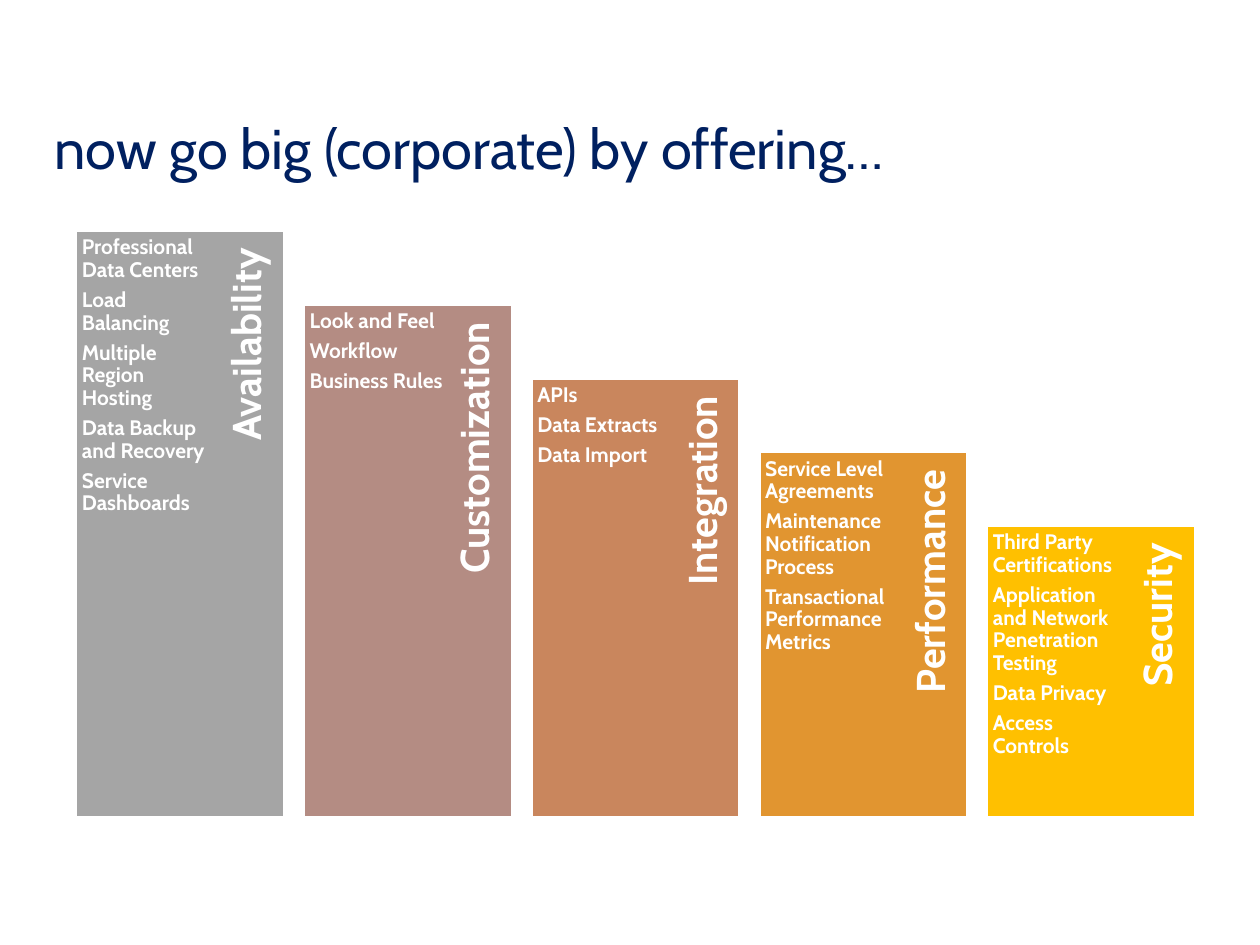
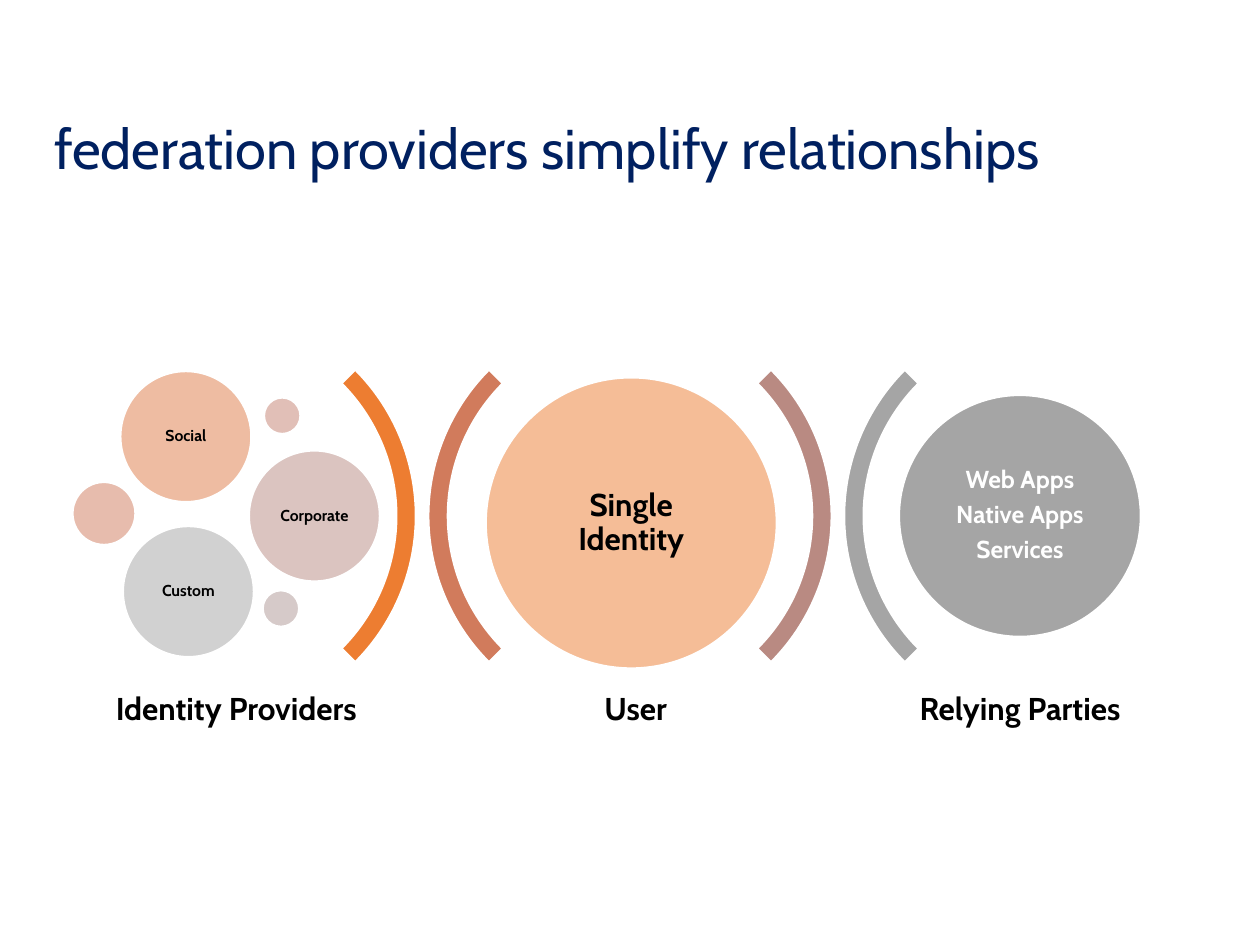
import pptx
import pptx.util
import pptx.dml.color
import pptx.enum.shapes
import pptx.enum.text
import pptx.oxml
import pptx.oxml.ns

Inches, Pt = pptx.util.Inches, pptx.util.Pt
SHAPE = pptx.enum.shapes.MSO_SHAPE
ALIGN = pptx.enum.text.PP_ALIGN
ANCHOR = pptx.enum.text.MSO_ANCHOR

FONT = "Cabin"
C = {
    "navy": "002060", "white": "FFFFFF", "black": "000000",
    "grey": "A5A5A5", "mauve": "B48C83", "copper": "C9865D",
    "amber": "E19530", "gold": "FFC000",
    "orange": "ED7D31", "rust": "DE7A47", "clay": "D17B5C",
    "rose": "C48170", "dusk": "B98A82", "ash": "AE9694",
}


def rgb(name):
    return pptx.dml.color.RGBColor.from_string(C[name])


def write(tf, lines, size=12, color="white", bold=True, align=ALIGN.LEFT,
          anchor=ANCHOR.MIDDLE, insets=(0, 0, 0, 0), spacing=0.9, after=0.35):
    """Fill a text frame, one paragraph per line; after is a share of the size."""
    tf.word_wrap = True
    tf.auto_size = pptx.enum.text.MSO_AUTO_SIZE.NONE
    tf.vertical_anchor = anchor
    tf.margin_left, tf.margin_top, tf.margin_right, tf.margin_bottom = map(Inches, insets)
    for i, line in enumerate(lines):
        p = tf.add_paragraph() if i else tf.paragraphs[0]
        p.alignment = align
        p.line_spacing = spacing
        p.space_after = Pt(size * after)
        r = p.add_run()
        r.text = line
        r.font.name, r.font.size, r.font.bold = FONT, Pt(size), bold
        r.font.color.rgb = rgb(color)


def add_text(s, x, y, w, h, lines, rotation=0, **fmt):
    sp = s.shapes.add_textbox(Inches(x), Inches(y), Inches(w), Inches(h))
    sp.rotation = rotation
    write(sp.text_frame, lines, **fmt)


def add_shape(s, kind, x, y, w, h, fill, alpha=None):
    sp = s.shapes.add_shape(kind, Inches(x), Inches(y), Inches(w), Inches(h))
    sp.shadow.inherit = False
    sp.fill.solid()
    sp.fill.fore_color.rgb = rgb(fill)
    sp.line.color.rgb = rgb("white")
    sp.line.width = Pt(2)
    if alpha:
        clr = sp.fill._xPr.find(".//" + pptx.oxml.ns.qn("a:srgbClr"))
        clr.append(pptx.oxml.parse_xml(
            f'<a:alpha {pptx.oxml.ns.nsdecls("a")} val="{alpha * 1000}"/>'))
    return sp


def add_titled_slide(prs, title, width):
    s = prs.slides.add_slide(prs.slide_layouts[5])
    sp = s.shapes.title
    sp.left, sp.top, sp.width, sp.height = map(Inches, (0.33, 0.92, width, 0.5))
    write(sp.text_frame, [title], size=32, color="navy", bold=False,
          insets=(0.1, 0.05, 0.1, 0.05), spacing=1.0, after=0)
    return s


# Descending bars, each with a list and a vertical heading
def add_bar(s, x, y, w, h, heading, items, fill):
    add_shape(s, SHAPE.RECTANGLE, x, y, w, h, fill)
    # The heading runs upwards along the top 90% of the bar
    length, thick = 0.9 * h, 0.43
    add_text(s, x + 1.39 - length / 2, y + length / 2 - thick / 2, length, thick,
             [heading], rotation=270, size=23, align=ALIGN.RIGHT,
             insets=(0.1, 0, 0.14, 0.03))
    add_text(s, x, y, 1.18, h, items, anchor=ANCHOR.TOP, insets=(0.05,) * 4)


def add_bar_steps(s, x, y, w, h, bars):
    bar_w, step = 1.66, 0.585
    pitch = (w - bar_w) / (len(bars) - 1)
    for i, (heading, fill, items) in enumerate(bars):
        drop = i * step
        add_bar(s, x + i * pitch, y + drop, bar_w, h - drop, heading, items, fill)


# Circle with centred text in a square inside it
def add_circle(s, x, y, d, fill, alpha=None, lines=(), inner=0.7, inset=0.04, **fmt):
    add_shape(s, SHAPE.OVAL, x, y, d, d, fill, alpha)
    if lines:
        gap = d * (1 - inner) / 2
        add_text(s, x + gap, y + gap, d * inner, d * inner, lines,
                 align=ALIGN.CENTER, insets=(inset,) * 4, **fmt)


def add_arc(s, x, y, rotation, fill):
    sp = add_shape(s, SHAPE.BLOCK_ARC, x, y, 3.3, 3.31, fill)
    sp.rotation = rotation
    for i, value in enumerate((135, 189, 0.05)):
        sp.adjustments[i] = value


def add_caption(s, center, y, text):
    add_text(s, center - 1.255, y, 2.51, 0.66, [text], size=18, color="black",
             align=ALIGN.CENTER, insets=(0.07,) * 4)


def add_providers(s, x, y):
    bubbles = [
        (0.38, 0, 1.05, "rust", "Social"),
        (0, 0.88, 0.51, "clay", None),
        (1.52, 0.21, 0.3, "rose", None),
        (1.4, 0.63, 1.05, "dusk", "Corporate"),
        (1.51, 1.74, 0.3, "ash", None),
        (0.4, 1.23, 1.05, "grey", "Custom"),
    ]
    for dx, dy, d, fill, label in bubbles:
        add_circle(s, x + dx, y + dy, d, fill, alpha=50,
                   lines=[label] if label else (), size=9, color="black")


def add_federation(s, x, y):
    # Facing pairs of arcs between the three groups
    for dx, rotation, fill in [(0, 90, "orange"), (3.4, 270, "clay"),
                               (3.3, 90, "dusk"), (6.7, 270, "grey")]:
        add_arc(s, x + dx, y, rotation, fill)
    add_providers(s, x + 0.57, y + 0.5)
    add_circle(s, x + 3.85, y + 0.55, 2.32, "orange", alpha=50,
               lines=["Single Identity"], inner=0.6, inset=0, size=18, color="black")
    add_circle(s, x + 7.13, y + 0.69, 1.93, "grey", inset=0.06, size=14,
               lines=["Web Apps", "Native Apps", "Services"])
    for center, text in [(1.875, "Identity Providers"), (5.045, "User"),
                         (8.095, "Relying Parties")]:
        add_caption(s, x + center, y + 2.87, text)


prs = pptx.Presentation()
prs.slide_width, prs.slide_height = Inches(10), Inches(7.5)

# Slide 1: corporate offering
s = add_titled_slide(prs, "now go big (corporate) by offering…", 8.5)
add_bar_steps(s, 0.6, 1.83, 8.89, 4.66, [
    ("Availability", "grey", ["Professional Data Centers", "Load Balancing",
                              "Multiple Region Hosting", "Data Backup and Recovery",
                              "Service Dashboards"]),
    ("Customization", "mauve", ["Look and Feel", "Workflow", "Business Rules"]),
    ("Integration", "copper", ["APIs", "Data Extracts", "Data Import"]),
    ("Performance", "amber", ["Service Level Agreements",
                              "Maintenance Notification Process",
                              "Transactional Performance Metrics"]),
    ("Security", "gold", ["Third Party Certifications",
                          "Application and Network Penetration Testing",
                          "Data Privacy", "Access Controls"]),
])

# Slide 2: federation
s = add_titled_slide(prs, "federation providers simplify relationships", 9.25)
add_federation(s, 0, 2.44)

prs.save("out.pptx")
